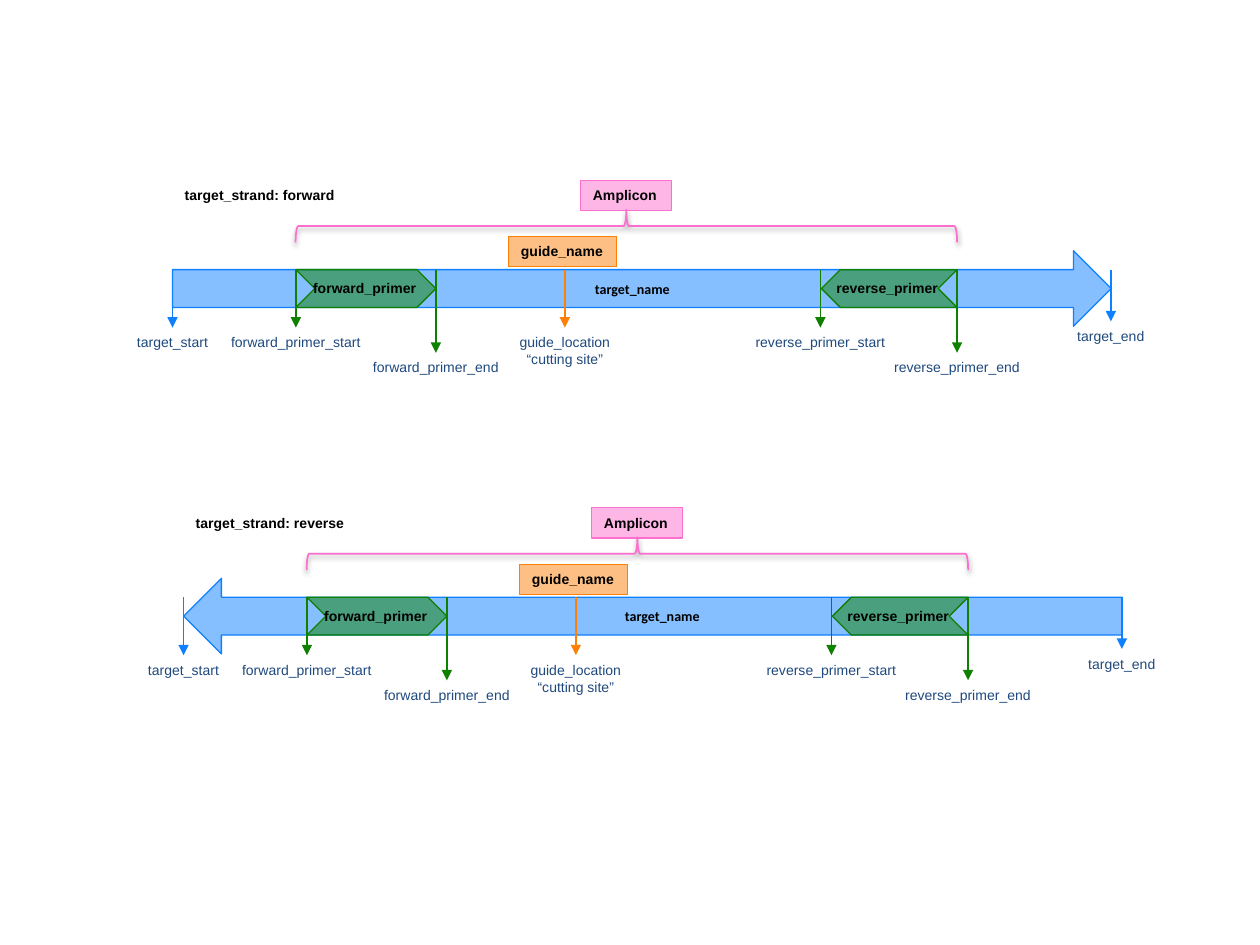
from lxml.etree import SubElement
from pptx import Presentation
from pptx.dml.color import RGBColor
from pptx.enum.shapes import MSO_CONNECTOR, MSO_SHAPE
from pptx.enum.text import MSO_ANCHOR, MSO_AUTO_SIZE, PP_ALIGN
from pptx.oxml.ns import qn
from pptx.util import Pt

BLUE, GREEN, ORANGE, PINK = "0F80FF", "108001", "FD8008", "FD6FCF"
BLACK, NAVY = "000000", "1F497D"


def rgb(value):
    return RGBColor.from_string(value)


def sub(parent, tag, **attrs):
    return SubElement(parent, qn(tag), {k: str(v) for k, v in attrs.items()})


class Diagram:
    """Style and current slide; dx and dy shift everything drawn."""

    font, size, line_height = "Arial", 8, 9.4

    def __init__(self, slide):
        self.s = slide
        self.dx = self.dy = 0

    def box(self, x, y, w, h):
        return Pt(x + self.dx), Pt(y + self.dy), Pt(w), Pt(h)

    def add_lines(self, sp, lines, color=BLACK, bold=True, align=PP_ALIGN.CENTER, font=None):
        tf = sp.text_frame
        for i, line in enumerate(lines):
            p = tf.add_paragraph() if i else tf.paragraphs[0]
            p.alignment = align
            r = p.add_run()
            r.text = line
            r.font.name = font or self.font
            r.font.size = Pt(self.size)
            r.font.bold = bold
            r.font.color.rgb = rgb(color)

    def fit(self, sp):
        tf = sp.text_frame
        tf.word_wrap = False
        tf.auto_size = MSO_AUTO_SIZE.SHAPE_TO_FIT_TEXT
        tf.vertical_anchor = MSO_ANCHOR.TOP

    def shape(self, kind, x, y, w, h, color, parent=None):
        """Preset shape with a solid line and a half transparent fill."""
        sp = (parent or self.s).shapes.add_shape(kind, *self.box(x, y, w, h))
        sp.shadow.inherit = False
        sp.fill.solid()
        sp.fill.fore_color.rgb = rgb(color)
        clr = sp._element.spPr.find(qn("a:solidFill"))[0]
        sub(clr, "a:alpha", val=50000)
        sp.line.color.rgb = rgb(color)
        sp.line.width = Pt(0.75)
        return sp

    def text(self, cx, y, w, lines, parent=None, **style):
        """Text box centred on cx."""
        h = 7.2 + self.line_height * len(lines)
        sp = (parent or self.s).shapes.add_textbox(*self.box(cx - w / 2, y, w, h))
        self.fit(sp)
        self.add_lines(sp, lines, **style)

    def tag(self, x, y, w, label, color):
        sp = self.shape(MSO_SHAPE.RECTANGLE, x, y, w, 17.3, color)
        self.fit(sp)
        self.add_lines(sp, [label], align=PP_ALIGN.LEFT)

    def bar(self, kind):
        sp = self.shape(kind, 98.6, 143.3, 536.4, 43.2, BLUE)
        self.add_lines(sp, ["target_name"], font="Calibri")

    def primer(self, x, w, label, rotation):
        g = self.s.shapes.add_group_shape()
        sp = self.shape(MSO_SHAPE.CHEVRON, x, 154.1, w, 21.6, GREEN, g)
        sp.rotation = rotation
        self.text(x + w / 2, 156.2, 74.5, [label], g, align=PP_ALIGN.LEFT)

    def mark(self, x, end, w, lines, color):
        """Arrow down from the bar with its label below."""
        cn = self.s.shapes.add_connector(
            MSO_CONNECTOR.STRAIGHT, Pt(x + self.dx), Pt(154.1 + self.dy),
            Pt(x + self.dx), Pt(end + self.dy))
        cn.line.color.rgb = rgb(color)
        cn.line.width = Pt(1)
        sub(cn._element.spPr.find(qn("a:ln")), "a:tailEnd", type="triangle")
        sub(cn._element.spPr, "a:effectLst")
        self.text(x, end, w, lines, color=NAVY, bold=False)

    def brace(self, cx, cy, span, depth):
        """Brace turned to open downwards, with a soft shadow."""
        sp = self.s.shapes.add_shape(
            MSO_SHAPE.LEFT_BRACE, *self.box(cx - depth / 2, cy - span / 2, depth, span))
        sp.rotation = 90
        sp.fill.background()
        sp.line.color.rgb = rgb(PINK)
        sp.line.width = Pt(1)
        sp.shadow.inherit = False
        effects = sp._element.spPr.find(qn("a:effectLst"))
        shadow = sub(effects, "a:outerShdw", blurRad=Pt(3.1), dist=Pt(1.6),
                     dir=5400000, rotWithShape=0)
        clr = sub(shadow, "a:srgbClr", val=BLACK)
        sub(clr, "a:alpha", val=38000)


# Arrow position, arrow end, label width, label lines, colour
MARKS = [
    (98.6, 187.2, 56.2, ["target_start"], BLUE),
    (169.1, 187.2, 90, ["forward_primer_start"], GREEN),
    (249.1, 201.6, 87.1, ["forward_primer_end"], GREEN),
    (322.8, 187.2, 67, ["guide_location", "“cutting site”"], ORANGE),
    (468.8, 187.2, 90, ["reverse_primer_start"], GREEN),
    (546.9, 201.6, 87.1, ["reverse_primer_end"], GREEN),
    (634.8, 183.6, 53.3, ["target_end"], BLUE),
]

# Strand, bar shape, shift right, shift down
PANELS = [
    ("forward", MSO_SHAPE.RIGHT_ARROW, 0, 0),
    ("reverse", MSO_SHAPE.LEFT_ARROW, 6.3, 187.2),
]


def main():
    prs = Presentation()
    prs.slide_width, prs.slide_height = Pt(720), Pt(540)
    d = Diagram(prs.slides.add_slide(prs.slide_layouts[6]))

    for strand, arrow, d.dx, d.dy in PANELS:
        # Target bar and primers
        d.bar(arrow)
        d.primer(169.1, 80, "forward_primer", 0)
        d.primer(469.4, 77.5, "reverse_primer", 180)
        # Positions along the target
        for mark in MARKS:
            d.mark(*mark)
        # Strand title, guide and amplicon
        d.text(148.7, 103, 100.4, [f"target_strand: {strand}"], align=PP_ALIGN.LEFT)
        d.tag(290.6, 135.2, 61.9, "guide_name", ORANGE)
        d.brace(357.9, 129.2, 378, 18.7)
        d.tag(331.7, 103, 51.9, "Amplicon", PINK)

    prs.save("out.pptx")


if __name__ == "__main__":
    main()
